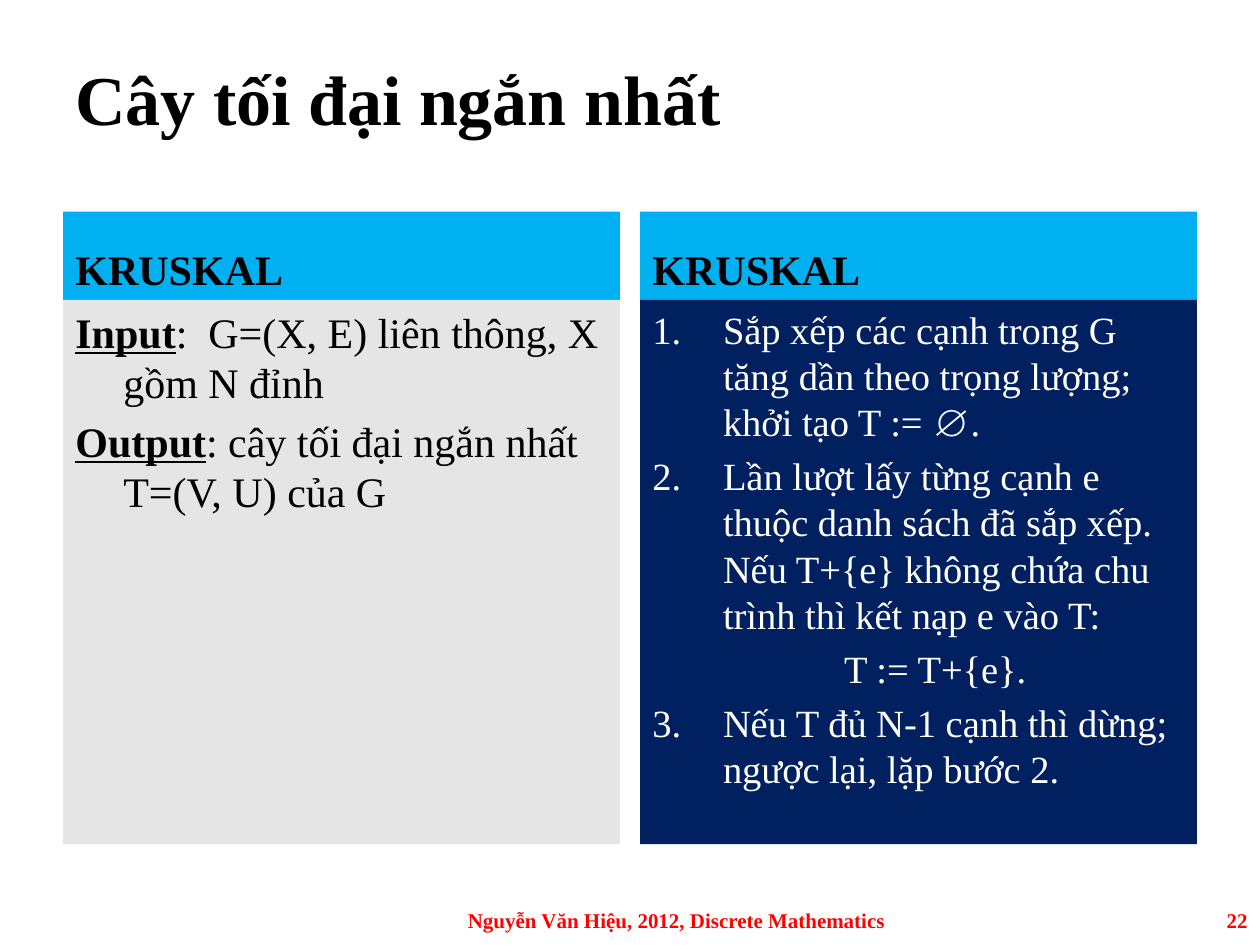
import pptx
import pptx.util
import pptx.dml.color
import pptx.enum.shapes
import pptx.enum.text
import pptx.oxml.ns
from lxml import etree

Inches = pptx.util.Inches
Pt = pptx.util.Pt
ALIGN = pptx.enum.text.PP_ALIGN
ANCHOR = pptx.enum.text.MSO_ANCHOR

FONT = "Times New Roman"
COLORS = {
    "ink": "000000",
    "head": "00B0F0",
    "pale": "E5E5E5",
    "navy": "002060",
    "white": "FFFFFF",
    "red": "FF0000",
}

# Two equal columns
LEFT, WIDTH, GAP = 0.5, 4.42, 0.16
TOP, HEAD, BODY = 1.68, 0.7, 4.32

GOAL = [
    {"runs": [("Input", True), (":  G=(X, E) liên thông, X gồm N đỉnh", False)]},
    {"runs": [("Output", True), (": cây tối đại ngắn nhất T=(V, U) của G", False)]},
]
STEPS = [
    {"text": "Sắp xếp các cạnh trong G tăng dần theo trọng lượng; khởi tạo T := ∅.",
     "num": 1},
    {"text": "Lần lượt lấy từng cạnh e thuộc danh sách đã sắp xếp. "
             "Nếu T+{e} không chứa chu trình thì kết nạp e vào T:",
     "num": 1},
    {"text": "T := T+{e}.", "left": 1.52},
    {"text": "Nếu T đủ N-1 cạnh thì dừng; ngược lại, lặp bước 2.", "num": 3},
]


def rgb(name):
    return pptx.dml.color.RGBColor.from_string(COLORS[name])


def indent(para, left, hang=0):
    props = para._p.get_or_add_pPr()
    props.set("marL", str(Inches(left)))
    props.set("indent", str(-Inches(hang)))
    return props


def number(para, start, color):
    props = indent(para, 0.56, 0.56)
    tag = pptx.oxml.ns.qn
    tint = etree.SubElement(props, tag("a:buClr"))
    etree.SubElement(tint, tag("a:srgbClr"), val=COLORS[color])
    etree.SubElement(props, tag("a:buFont"), typeface="+mj-lt")
    mark = etree.SubElement(props, tag("a:buAutoNum"), type="arabicPeriod")
    if start > 1:
        mark.set("startAt", str(start))


def write(para, text, size=24, color="ink", bold=False, line=False):
    run = para.add_run()
    run.text = text
    font = run.font
    font.name, font.size = FONT, Pt(size)
    font.bold, font.underline = bold, line
    font.color.rgb = rgb(color)


def setup(frame, anchor):
    frame.word_wrap = True
    frame.vertical_anchor = anchor
    return frame


def label(slide, text, box, align=ALIGN.LEFT, **style):
    shape = slide.shapes.add_textbox(*map(Inches, box))
    para = setup(shape.text_frame, ANCHOR.MIDDLE).paragraphs[0]
    para.alignment = align
    write(para, text, bold=True, **style)


def panel(slide, box, fill, anchor=ANCHOR.TOP):
    kind = pptx.enum.shapes.MSO_SHAPE.RECTANGLE
    shape = slide.shapes.add_shape(kind, *map(Inches, box))
    shape.shadow.inherit = False
    shape.fill.solid()
    shape.fill.fore_color.rgb = rgb(fill)
    shape.line.fill.background()
    return setup(shape.text_frame, anchor)


def fill(frame, items, size, color):
    for i, item in enumerate(items):
        para = frame.add_paragraph() if i else frame.paragraphs[0]
        para.alignment = ALIGN.LEFT
        if i:
            para.space_before = Pt(size * 0.2)
        if "num" in item:
            number(para, item["num"], color)
        elif "left" in item:
            indent(para, item["left"])
        else:
            indent(para, 0.38, 0.38)
        for text, key in item.get("runs") or [(item["text"], False)]:
            write(para, text, size=size, color=color, bold=key, line=key)


def column(slide, index, title, items, back, size, color):
    left = LEFT + index * (WIDTH + GAP)
    head = panel(slide, (left, TOP, WIDTH, HEAD), "head", ANCHOR.BOTTOM)
    head.paragraphs[0].alignment = ALIGN.LEFT
    write(head.paragraphs[0], title, bold=True)
    body = panel(slide, (left, TOP + HEAD, WIDTH, BODY), back)
    fill(body, items, size, color)


def main():
    deck = pptx.Presentation()
    deck.slide_width, deck.slide_height = Inches(10), Inches(7.5)
    slide = deck.slides.add_slide(deck.slide_layouts[6])

    # Title
    label(slide, "Cây tối đại ngắn nhất", (0.5, 0.3, 9, 0.95), size=40)

    # Problem and algorithm
    column(slide, 0, "KRUSKAL", GOAL, "pale", 24, "ink")
    column(slide, 1, "KRUSKAL", STEPS, "navy", 22, "white")

    # Footer and page number
    label(slide, "Nguyễn Văn Hiệu, 2012, Discrete Mathematics",
          (3.33, 7.1, 4.08, 0.4), ALIGN.CENTER, size=12, color="red")
    label(slide, "22", (7.67, 7.1, 2.33, 0.4), ALIGN.RIGHT, size=12, color="red")

    deck.save("out.pptx")


if __name__ == "__main__":
    main()
